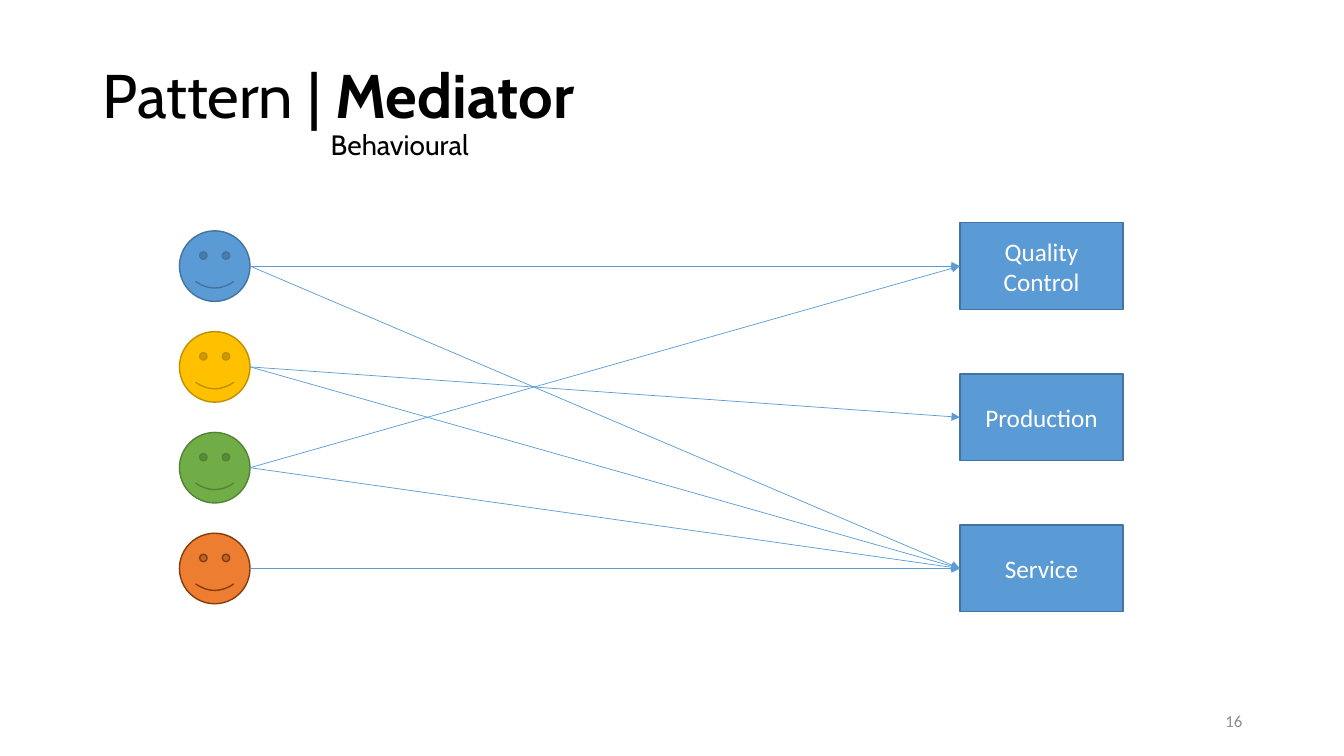
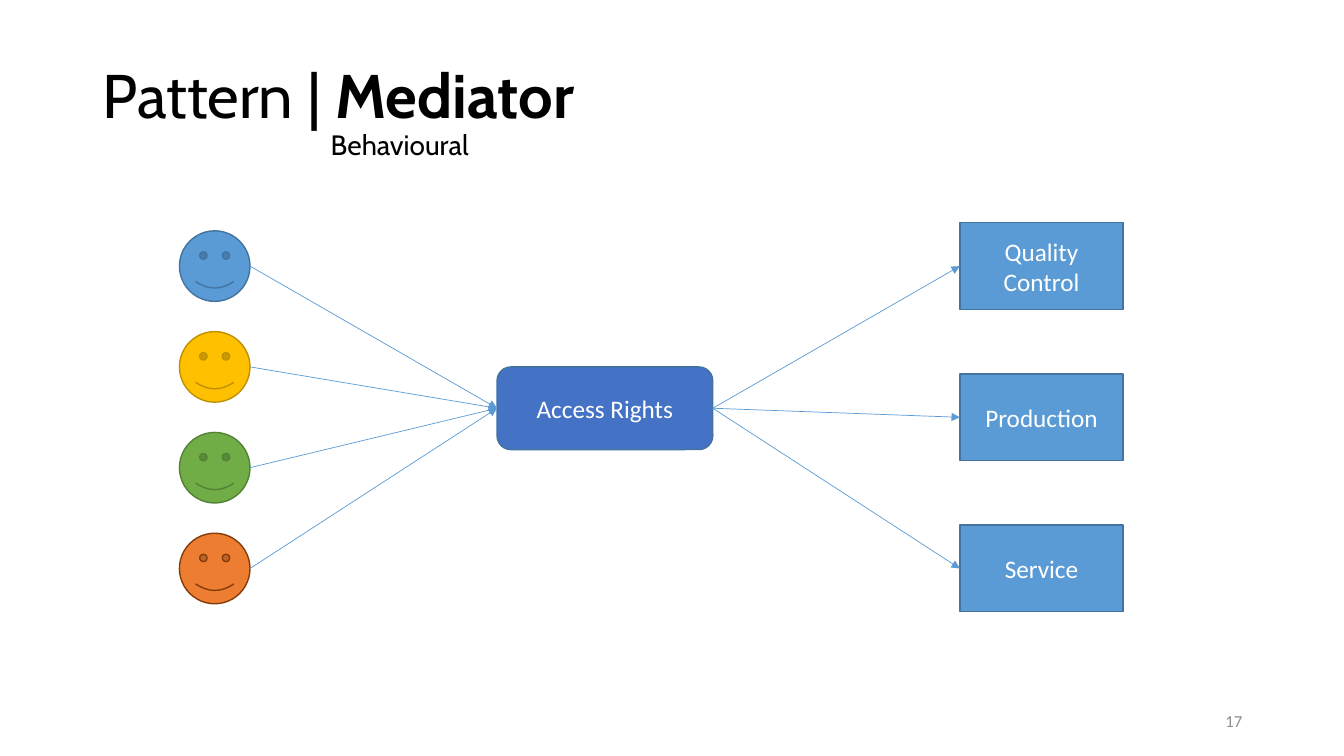
from lxml import etree
from pptx import Presentation
from pptx.dml.color import RGBColor
from pptx.enum import shapes, text
from pptx.oxml.ns import qn
from pptx.util import Inches, Pt

BLUE, DARK_BLUE, ROYAL_BLUE = "5B9BD5", "43739E", "4472C4"
BLACK, WHITE, GREY = "000000", "FFFFFF", "8C8C8C"
TITLE_FONT, BODY_FONT = "Cabin", "Calibri"

CLIENT_COLORS = [  # fill, outline
    (BLUE, DARK_BLUE),
    ("FFC000", "BF9000"),
    ("70AD47", "548235"),
    ("ED7D31", "843C0B"),
]
DEPARTMENTS = ["Quality Control", "Production", "Service"]
DIRECT_LINKS = [(0, 0), (3, 2), (1, 1), (1, 2), (2, 2), (2, 0), (0, 2)]  # client, department

# Connection sites on the shapes
LEFT_SITE, RIGHT_SITE, FACE_RIGHT_SITE = 1, 3, 6


def color(hex_string):
    """Turn a hex string into a colour."""
    return RGBColor.from_string(hex_string)


def format_run(run, font, size, hex_color, bold=False):
    """Set the font of one run."""
    run.font.name = font
    run.font.size = Pt(size)
    run.font.color.rgb = color(hex_color)
    run.font.bold = bold


def add_title(slide):
    """Fill the title placeholder with the pattern name and its category."""
    title = slide.shapes.title
    title.left, title.top = Inches(0.92), Inches(0.4)
    title.width, title.height = Inches(11.5), Inches(1.45)
    frame = title.text_frame
    frame.word_wrap = True
    frame.auto_size = text.MSO_AUTO_SIZE.NONE
    frame.vertical_anchor = text.MSO_ANCHOR.MIDDLE
    paragraph = frame.paragraphs[0]
    paragraph.alignment = text.PP_ALIGN.LEFT
    paragraph.line_spacing = 0.9
    tab_list = etree.SubElement(paragraph._p.get_or_add_pPr(), qn("a:tabLst"))
    etree.SubElement(tab_list, qn("a:tab"), pos=str(Inches(2.26)), algn="l")

    for words, size, bold in [("Pattern | ", 44, False), ("Mediator", 44, True),
                              ("\tBehavioural", 20, False)]:
        if words.startswith("\t"):
            paragraph.add_line_break()
        run = paragraph.add_run()
        run.text = words
        format_run(run, TITLE_FONT, size, BLACK, bold)


def add_slide_number(slide, number):
    """Write the slide number at the bottom right."""
    box = slide.shapes.add_textbox(Inches(9.42), Inches(6.95), Inches(3), Inches(0.4))
    frame = box.text_frame
    frame.word_wrap = True
    frame.vertical_anchor = text.MSO_ANCHOR.MIDDLE
    frame.text = str(number)
    paragraph = frame.paragraphs[0]
    paragraph.alignment = text.PP_ALIGN.RIGHT
    format_run(paragraph.runs[0], BODY_FONT, 12, GREY)


def add_node(slide, kind, left, top, width, height, fill, outline=DARK_BLUE, label=""):
    """Add a filled shape, with a centred label if one is given."""
    shape = slide.shapes.add_shape(kind, Inches(left), Inches(top),
                                   Inches(width), Inches(height))
    shape.shadow.inherit = False
    shape.fill.solid()
    shape.fill.fore_color.rgb = color(fill)
    shape.line.color.rgb = color(outline)
    shape.line.width = Pt(1)
    if label:
        frame = shape.text_frame
        frame.word_wrap = True
        frame.vertical_anchor = text.MSO_ANCHOR.MIDDLE
        frame.text = label
        paragraph = frame.paragraphs[0]
        paragraph.alignment = text.PP_ALIGN.CENTER
        format_run(paragraph.runs[0], BODY_FONT, 18, WHITE)
    return shape


def add_clients(slide):
    """Add the column of smiley faces."""
    return [add_node(slide, shapes.MSO_SHAPE.SMILEY_FACE, 1.78, 2.29 + row, 0.7, 0.7,
                     fill, outline)
            for row, (fill, outline) in enumerate(CLIENT_COLORS)]


def add_departments(slide):
    """Add the column of department boxes."""
    return [add_node(slide, shapes.MSO_SHAPE.RECTANGLE, 9.52, 2.21 + 1.5 * row, 1.62, 0.86,
                     BLUE, label=name)
            for row, name in enumerate(DEPARTMENTS)]


def add_arrow(slide, source, target):
    """Connect the right side of one shape to the left side of another."""
    connector = slide.shapes.add_connector(shapes.MSO_CONNECTOR.STRAIGHT, 0, 0, 0, 0)
    connector.begin_connect(source, RIGHT_SITE)
    connector.end_connect(target, LEFT_SITE)
    if source.auto_shape_type == shapes.MSO_SHAPE.SMILEY_FACE:
        start = next(connector._element.iter(qn("a:stCxn")))
        start.set("idx", str(FACE_RIGHT_SITE))
    connector.line.color.rgb = color(BLUE)
    connector.line.width = Pt(0.5)
    etree.SubElement(connector.line._get_or_add_ln(), qn("a:tailEnd"), type="triangle")
    etree.SubElement(connector._element.spPr, qn("a:effectLst"))


def start_slide(presentation, number):
    """Add a slide with everything the slides share; return clients and departments too."""
    slide = presentation.slides.add_slide(presentation.slide_layouts.get_by_name("Title Only"))
    add_title(slide)
    add_slide_number(slide, number)
    return slide, add_clients(slide), add_departments(slide)


def build_direct_slide(presentation):
    """Show clients that talk to the departments directly."""
    slide, clients, departments = start_slide(presentation, 16)
    for client, department in DIRECT_LINKS:
        add_arrow(slide, clients[client], departments[department])


def build_mediator_slide(presentation):
    """Show clients that reach the departments through the mediator."""
    slide, clients, departments = start_slide(presentation, 17)
    mediator = add_node(slide, shapes.MSO_SHAPE.FLOWCHART_ALTERNATE_PROCESS,
                        4.93, 3.64, 2.14, 0.82, ROYAL_BLUE, label="Access Rights")
    for client in clients:
        add_arrow(slide, client, mediator)
    for department in departments:
        add_arrow(slide, mediator, department)


def main():
    """Build and save the presentation."""
    presentation = Presentation()
    presentation.slide_width = Inches(13.33)
    presentation.slide_height = Inches(7.5)
    build_direct_slide(presentation)
    build_mediator_slide(presentation)
    presentation.save("out.pptx")


main()
